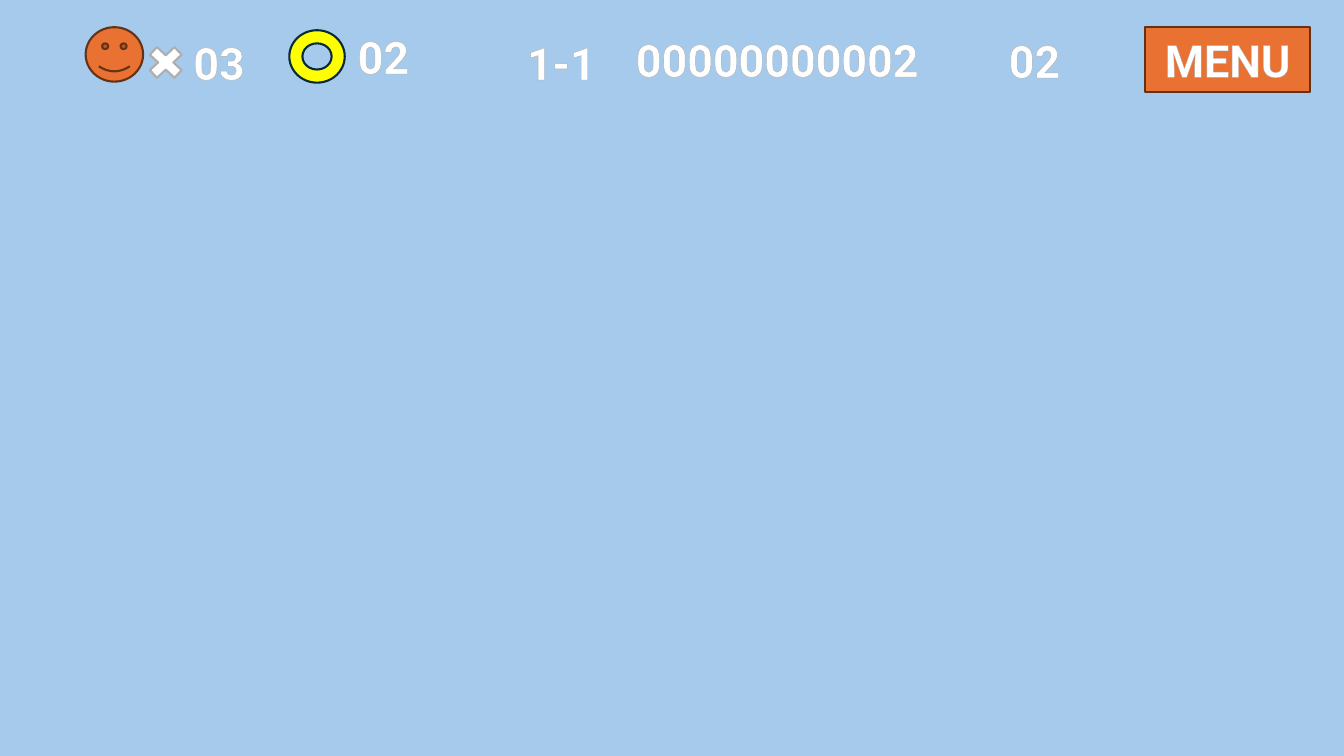
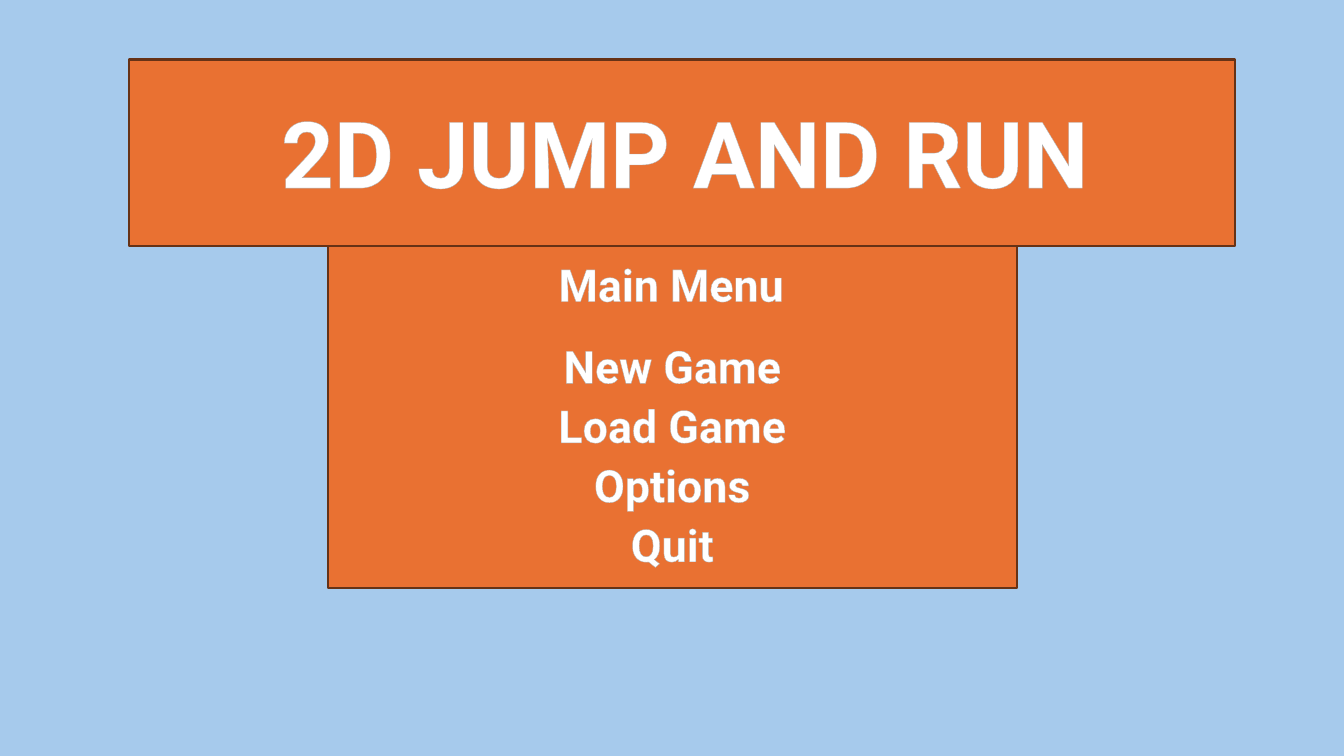
from lxml import etree
from pptx import Presentation
from pptx.dml.color import RGBColor
from pptx.enum.shapes import MSO_SHAPE
from pptx.enum.text import MSO_ANCHOR, MSO_AUTO_SIZE, PP_ALIGN
from pptx.oxml.ns import qn
from pptx.util import Inches, Pt

RECTANGLE, SMILEY = MSO_SHAPE.RECTANGLE, MSO_SHAPE.SMILEY_FACE
DONUT, MULTIPLY = MSO_SHAPE.DONUT, MSO_SHAPE.MATH_MULTIPLY
LEFT, CENTER = PP_ALIGN.LEFT, PP_ALIGN.CENTER
TOP, GROW = MSO_ANCHOR.TOP, MSO_AUTO_SIZE.SHAPE_TO_FIT_TEXT
TITLE_ONLY, BLANK = 5, 6

COLORS = {
    "sky": "A6CAEC",
    "orange": "E97132",
    "brown": "663216",
    "yellow": "FFFF00",
    "navy": "092A39",
    "white": "FFFFFF",
    "gray": "AEAEAE",
}
FONT = "Roboto"
TEXT_SIZE, TITLE_SIZE = 32, 66

# Grid of 160 columns by 90 rows
COLUMNS, ROWS = 160, 90
CELL = Inches(7.5) / ROWS
TEXT_ROWS = 7.68


def color(name):
    return RGBColor.from_string(COLORS[name])


def cells(*lengths):
    return [round(length * CELL) for length in lengths]


class GameScreens:
    """Holds the style and the current slide; boxes are given in grid cells."""

    def __init__(self):
        self.presentation = Presentation()
        self.presentation.slide_width, self.presentation.slide_height = cells(COLUMNS, ROWS)
        background = self.presentation.slide_master.background.fill
        background.solid()
        background.fore_color.rgb = color("sky")
        self.slide = None

    def add_slide(self, layout):
        layouts = self.presentation.slide_layouts
        self.slide = self.presentation.slides.add_slide(layouts[layout])

    def shape(self, kind, box, fill="orange", line="brown"):
        shape = self.slide.shapes.add_shape(kind, *cells(*box))
        shape.shadow.inherit = False
        shape.fill.solid()
        shape.fill.fore_color.rgb = color(fill)
        shape.line.color.rgb = color(line)
        shape.line.width = Pt(1.5)
        return shape

    def set_text(self, shape, text, align=CENTER, size=TEXT_SIZE):
        frame = shape.text_frame
        frame.text = text
        frame.word_wrap = True
        frame.auto_size = GROW
        paragraph = frame.paragraphs[0]
        paragraph.alignment = align
        font = paragraph.runs[0].font
        font.name, font.size, font.bold = FONT, Pt(size), True
        font.color.rgb = color("white")
        # Thin outline around the letters
        outline = etree.Element(qn("a:ln"), w=str(Pt(0.75)))
        fill = etree.SubElement(outline, qn("a:solidFill"))
        etree.SubElement(fill, qn("a:srgbClr"), val=COLORS["gray"])
        paragraph.runs[0]._r.get_or_add_rPr().insert(0, outline)

    def label(self, text, left, top, width, align=CENTER):
        box = cells(left, top, width, TEXT_ROWS)
        self.set_text(self.slide.shapes.add_textbox(*box), text, align)

    def button(self, text, box):
        self.set_text(self.shape(RECTANGLE, box), text)

    def title(self, text, box):
        title = self.slide.shapes.title
        title.left, title.top, title.width, title.height = cells(*box)
        self.set_text(title, text, size=TITLE_SIZE)
        title.text_frame.vertical_anchor = TOP
        # Bring the title in front of its banner
        self.slide.shapes._spTree.append(title._element)


def build_status_bar(screens):
    screens.add_slide(BLANK)
    # Lives and coins
    screens.shape(SMILEY, (10.2, 3.24, 6.84, 6.48))
    screens.shape(DONUT, (34.44, 3.6, 6.6, 6.24), "yellow", "navy")
    screens.shape(MULTIPLY, (16.92, 4.8, 5.64, 5.28), "white", "gray")
    # Counters: lives, coins, level, score, time
    counter_width, score_width = 12.84, 40.2
    for text, left, top, width in (
        ("03", 21.84, 3.6, counter_width),
        ("02", 41.4, 2.88, counter_width),
        ("1-1", 61.56, 3.6, counter_width),
        ("00000000002", 74.52, 3.24, score_width),
        ("02", 118.92, 3.36, counter_width),
    ):
        screens.label(text, left, top, width, LEFT)
    screens.button("MENU", (136.32, 3.24, 19.68, TEXT_ROWS))


def build_main_menu(screens):
    screens.add_slide(TITLE_ONLY)
    # Menu panel with evenly spaced entries
    screens.shape(RECTANGLE, (39, 29.16, 82.08, 40.8))
    screens.label("Main Menu", 41.16, 30, 77.52)
    first_top, step = 39.72, 7.08
    for index, entry in enumerate(("New Game", "Load Game", "Options", "Quit")):
        screens.label(entry, 45.96, first_top + index * step, 68.16)
    # Title banner
    screens.shape(RECTANGLE, (15.36, 7.08, 131.64, 22.2))
    screens.title("2D JUMP AND RUN", (18.36, 10.8, 126.36, 14.52))


def main():
    screens = GameScreens()
    build_status_bar(screens)
    build_main_menu(screens)
    screens.presentation.save("out.pptx")


if __name__ == "__main__":
    main()
